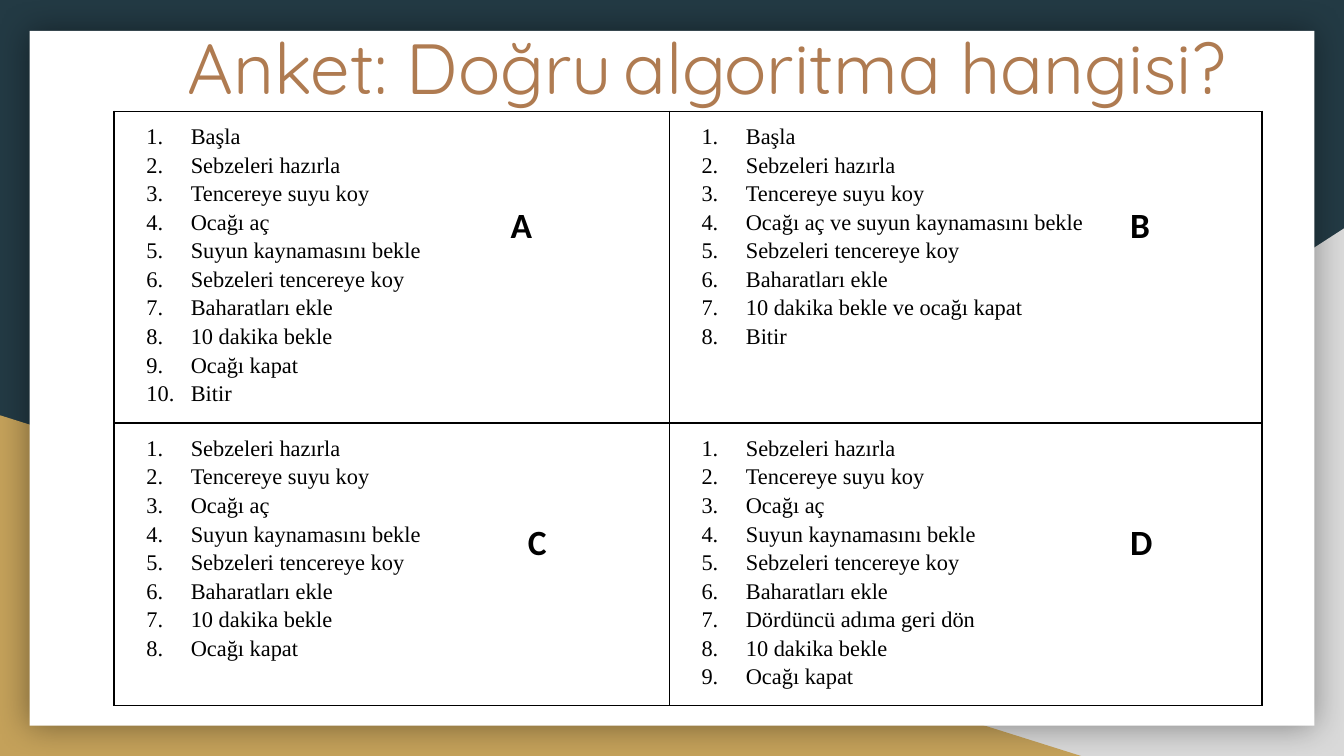
from lxml import etree
from pptx import Presentation
from pptx.dml.color import RGBColor
from pptx.enum.shapes import MSO_SHAPE
from pptx.enum.text import MSO_ANCHOR, MSO_AUTO_SIZE, PP_ALIGN
from pptx.oxml.ns import qn
from pptx.util import Inches, Pt

TRIANGLE, RECTANGLE = MSO_SHAPE.RIGHT_TRIANGLE, MSO_SHAPE.RECTANGLE
MIDDLE, CENTER = MSO_ANCHOR.MIDDLE, PP_ALIGN.CENTER
NO_AUTOFIT, GROW = MSO_AUTO_SIZE.NONE, MSO_AUTO_SIZE.SHAPE_TO_FIT_TEXT

NAVY = RGBColor(0x23, 0x3A, 0x44)
GRAY = RGBColor(0xD9, 0xD9, 0xD9)
GOLD = RGBColor(0xC4, 0xA1, 0x5A)
WHITE = RGBColor(0xFF, 0xFF, 0xFF)
BLACK = RGBColor(0, 0, 0)
BROWN = RGBColor(0xAF, 0x7B, 0x51)

ALGORITHMS = [
    [
        ["Başla", "Sebzeleri hazırla", "Tencereye suyu koy", "Ocağı aç",
         "Suyun kaynamasını bekle", "Sebzeleri tencereye koy", "Baharatları ekle",
         "10 dakika bekle", "Ocağı kapat", "Bitir"],
        ["Başla", "Sebzeleri hazırla", "Tencereye suyu koy",
         "Ocağı aç ve suyun kaynamasını bekle", "Sebzeleri tencereye koy",
         "Baharatları ekle", "10 dakika bekle ve ocağı kapat", "Bitir"],
    ],
    [
        ["Sebzeleri hazırla", "Tencereye suyu koy", "Ocağı aç",
         "Suyun kaynamasını bekle", "Sebzeleri tencereye koy", "Baharatları ekle",
         "10 dakika bekle", "Ocağı kapat"],
        ["Sebzeleri hazırla", "Tencereye suyu koy", "Ocağı aç",
         "Suyun kaynamasını bekle", "Sebzeleri tencereye koy", "Baharatları ekle",
         "Dördüncü adıma geri dön", "10 dakika bekle", "Ocağı kapat"],
    ],
]


def add_run(p, text, font, size, color, bold=False):
    r = p.add_run()
    r.text = text
    r.font.name = font
    r.font.size = Pt(size)
    r.font.bold = bold
    r.font.color.rgb = color


def add_xml(parent, tag, **attributes):
    return etree.SubElement(parent, qn(tag), attributes)


# A 16:9 slide
prs = Presentation()
prs.slide_width = Inches(10)
prs.slide_height = Inches(10) * 9 // 16
s = prs.slides.add_slide(prs.slide_layouts[5])
s.background.fill.solid()
s.background.fill.fore_color.rgb = NAVY

# Backdrop triangles and the white card
backdrop = []
for kind, color, box in [
    (TRIANGLE, GRAY, (3.92, 1.7, 6.08, 3.93)),
    (TRIANGLE, GOLD, (0, 3.09, 8.06, 2.54)),
    (RECTANGLE, WHITE, (0.22, 0.23, 9.56, 5.17)),
]:
    sp = s.shapes.add_shape(kind, *map(Inches, box))
    sp.shadow.inherit = False
    sp.fill.solid()
    sp.fill.fore_color.rgb = color
    sp.line.fill.background()
    backdrop.append(sp)
gray_triangle, gold_triangle, card = backdrop
gray_triangle.element.spPr.find(qn("a:xfrm")).set("flipH", "1")
effects = card.element.spPr.find(qn("a:effectLst"))
shadow = add_xml(effects, "a:outerShdw", blurRad=str(Pt(18)), dist="0", dir="0",
                 algn="ctr", rotWithShape="0")
add_xml(add_xml(shadow, "a:srgbClr", val=str(BLACK)), "a:alpha", val="40000")

# Table with one numbered algorithm per cell
table = s.shapes.add_table(2, 2, Inches(0.85), Inches(0.83),
                           Inches(8.54), Inches(4.42)).table
table.first_row = table.horz_banding = False
for column, width in zip(table.columns, (4.13, 4.41)):
    column.width = Inches(width)
for row, height, algorithms in zip(table.rows, (2.32, 2.1), ALGORITHMS):
    row.height = Inches(height)
    for cell, steps in zip(row.cells, algorithms):
        cell.margin_left = cell.margin_right = Inches(0.07)
        cell.margin_top = cell.margin_bottom = Inches(0.07)
        tf = cell.text_frame
        for i, step in enumerate(steps):
            p = tf.add_paragraph() if i else tf.paragraphs[0]
            p.line_spacing = 1.15
            pPr = p._p.get_or_add_pPr()
            pPr.set("marL", str(Inches(0.5)))
            pPr.set("indent", str(Inches(-0.33)))
            add_xml(add_xml(pPr, "a:buClr"), "a:srgbClr", val=str(BLACK))
            add_xml(pPr, "a:buFont", typeface="Times New Roman")
            add_xml(pPr, "a:buAutoNum", type="arabicPeriod")
            add_run(p, step, "Times New Roman", 12, BLACK)
        tcPr = cell._tc.get_or_add_tcPr()
        for side in ("a:lnL", "a:lnR", "a:lnT", "a:lnB"):
            border = add_xml(tcPr, side, w=str(Pt(1)))
            add_xml(add_xml(border, "a:solidFill"), "a:srgbClr", val=str(BLACK))
        cell.fill.background()

# Title, brought in front of the card
title = s.shapes.title
s.shapes.element.append(title.element)
title.left, title.top = Inches(1.06), Inches(0.12)
title.width, title.height = Inches(8.4), Inches(0.75)
tf = title.text_frame
tf.auto_size = NO_AUTOFIT
tf.word_wrap = True
tf.vertical_anchor = MIDDLE
tf.margin_left = tf.margin_right = tf.margin_top = tf.margin_bottom = Inches(0.1)
p = tf.paragraphs[0]
p.alignment = CENTER
add_run(p, "Anket: Doğru", "Quicksand", 38, BROWN)
add_run(p, " ", "Times New Roman", 24, BLACK, bold=True)
add_run(p, "algoritma hangisi?", "Quicksand", 38, BROWN)

# Option letters
for letter, x, y in [("A", 3.7, 1.41), ("C", 3.83, 3.77),
                     ("B", 8.31, 1.41), ("D", 8.31, 3.77)]:
    tf = s.shapes.add_textbox(Inches(x), Inches(y), Inches(0.65), Inches(0.52)).text_frame
    tf.word_wrap = True
    tf.auto_size = GROW
    tf.margin_left = tf.margin_right = tf.margin_top = tf.margin_bottom = Inches(0.1)
    add_run(tf.paragraphs[0], letter, "Calibri", 19, BLACK, bold=True)

prs.save("out.pptx")
